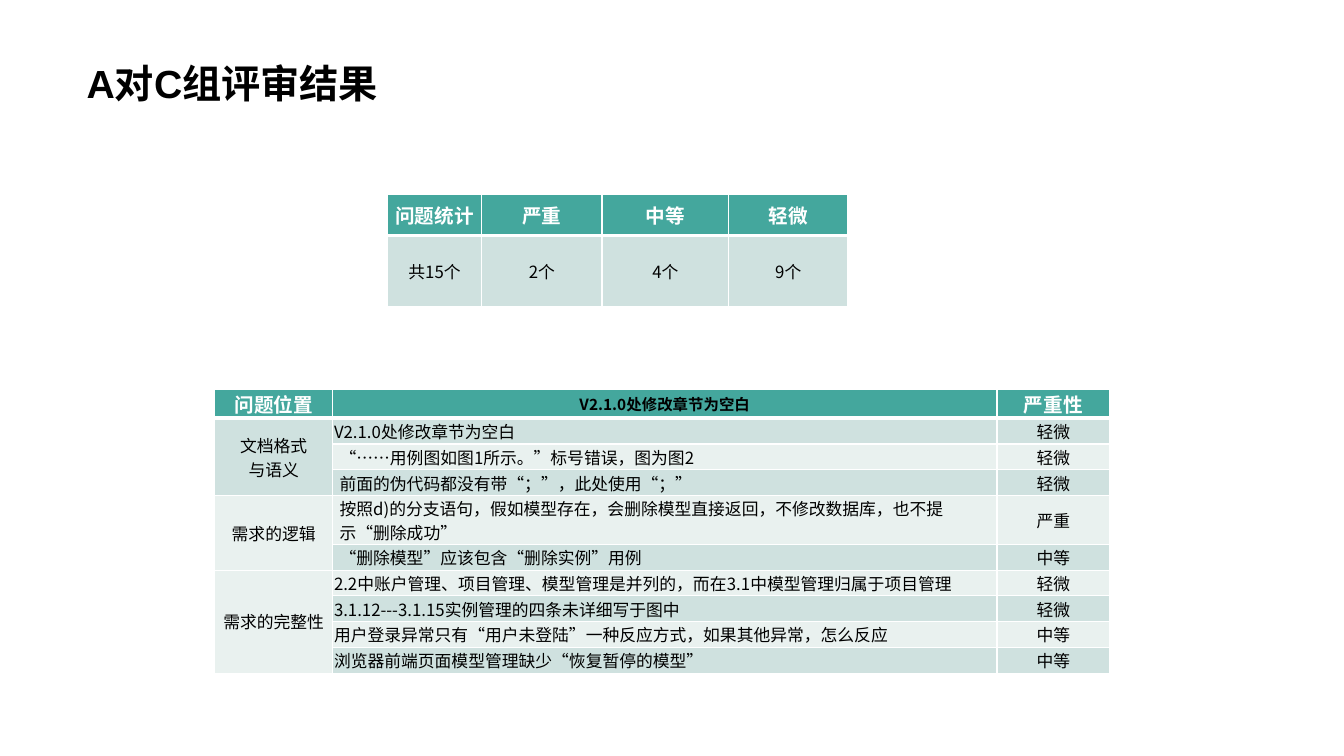
import pptx
import pptx.dml.color
import pptx.enum.lang
import pptx.enum.text
import pptx.oxml.ns
import pptx.util
from lxml import etree

Pt = pptx.util.Pt
ALIGN = pptx.enum.text.PP_ALIGN
ANCHOR = pptx.enum.text.MSO_ANCHOR
CHINESE = pptx.enum.lang.MSO_LANGUAGE_ID.SIMPLIFIED_CHINESE

SEVERITIES = ["严重", "中等", "轻微"]
COUNTS = ["共15个", "2个", "4个", "9个"]
ISSUE_GROUPS = [
    ("文档格式\n与语义", [
        ("V2.1.0处修改章节为空白", 1, "轻微"),
        ("“……用例图如图1所示。”标号错误，图为图2", 5, "轻微"),
        ("前面的伪代码都没有带“；”，此处使用“；”", 5, "轻微"),
    ]),
    ("需求的逻辑", [
        ("按照d)的分支语句，假如模型存在，会删除模型直接返回，不修改数据库，也不提示“删除成功”", 5, "严重"),
        ("“删除模型”应该包含“删除实例”用例", 5, "中等"),
    ]),
    ("需求的完整性", [
        ("2.2中账户管理、项目管理、模型管理是并列的，而在3.1中模型管理归属于项目管理", 1, "轻微"),
        ("3.1.12---3.1.15实例管理的四条未详细写于图中", 1, "轻微"),
        ("用户登录异常只有“用户未登陆”一种反应方式，如果其他异常，怎么反应", 1, "中等"),
        ("浏览器前端页面模型管理缺少“恢复暂停的模型”", 1, "中等"),
    ]),
]


def rgb(value):
    return pptx.dml.color.RGBColor.from_string(value)


def assign(target, values):
    for name, value in values.items():
        setattr(target, name, value)


class ReviewSlide:
    cjk = "Noto Sans CJK SC"
    header_fill = "44A79D"
    band_fills = ["E9F1EF", "CFE1DF"]
    border = "FFFFFF"
    header_text = {"size": Pt(14), "bold": True, "color": "FFFFFF"}
    sample_text = {"size": Pt(11), "bold": True, "color": "000000"}
    body_text = {"size": Pt(12), "bold": False, "color": "000000"}

    def __init__(self, deck):
        self.slide = deck.slides.add_slide(deck.slide_layouts[5])

    def add_text(self, paragraph, text, style, latin=cjk):
        run = paragraph.add_run()
        run.text = text
        style = dict(style)
        run.font.color.rgb = rgb(style.pop("color"))
        assign(run.font, {**style, "name": latin, "language_id": CHINESE})
        east_asian = etree.SubElement(run.font._element, pptx.oxml.ns.qn("a:ea"))
        east_asian.set("typeface", self.cjk)

    def title(self, text, left, top, width, height):
        heading = self.slide.shapes.title
        assign(heading, {"left": Pt(left), "top": Pt(top), "width": Pt(width), "height": Pt(height)})
        frame = heading.text_frame
        assign(frame, {"vertical_anchor": ANCHOR.BOTTOM, "word_wrap": True,
                       "auto_size": pptx.enum.text.MSO_AUTO_SIZE.NONE})
        assign(frame.paragraphs[0], {"alignment": ALIGN.LEFT, "line_spacing": 0.9})
        self.add_text(frame.paragraphs[0], text, {"size": Pt(28), "bold": True, "color": "000000"}, "Arial")

    def table(self, left, top, widths, heights):
        grid = self.slide.shapes.add_table(
            len(heights), len(widths), Pt(left), Pt(top), Pt(sum(widths)), Pt(sum(heights))).table
        grid.horz_banding = False
        for column, width in zip(grid.columns, widths):
            column.width = Pt(width)
        for row, height in zip(grid.rows, heights):
            row.height = Pt(height)
        for index, row in enumerate(grid.rows):
            for cell in row.cells:
                self.dress(cell, index)
        return grid

    def dress(self, cell, row):
        assign(cell, {"vertical_anchor": ANCHOR.MIDDLE, "margin_left": Pt(1), "margin_right": Pt(1),
                      "margin_top": 0, "margin_bottom": 0})
        properties = cell._tc.get_or_add_tcPr()
        for side in "LRTB":
            width = 3 if row == 0 and side == "B" else 1
            line = etree.SubElement(properties, pptx.oxml.ns.qn("a:ln" + side), w=str(Pt(width)))
            fill = etree.SubElement(line, pptx.oxml.ns.qn("a:solidFill"))
            etree.SubElement(fill, pptx.oxml.ns.qn("a:srgbClr"), val=self.border)
        cell.fill.solid()
        cell.fill.fore_color.rgb = rgb(self.band_fills[row % 2] if row else self.header_fill)

    def fill_cell(self, cell, text, style, align=ALIGN.CENTER, inset=1):
        assign(cell, {"margin_left": Pt(inset), "margin_right": Pt(inset)})
        frame = cell.text_frame
        for index, line in enumerate(text.split("\n")):
            paragraph = frame.add_paragraph() if index else frame.paragraphs[0]
            paragraph.alignment = align
            self.add_text(paragraph, line, style)


def main():
    deck = pptx.Presentation()
    assign(deck, {"slide_width": Pt(960), "slide_height": Pt(540)})
    review = ReviewSlide(deck)
    review.title("A对C组评审结果", 54.7, 0, 850.3, 79.9)

    issue_count = sum(len(issues) for _, issues in ISSUE_GROUPS)
    details = review.table(153.4, 277.9, [84.2, 474.5, 80.6], [20.9] + [18.4] * issue_count)
    review.fill_cell(details.cell(0, 0), "问题位置", review.header_text)
    sample = details.cell(0, 1)
    review.fill_cell(sample, "V2.1.0", review.sample_text)
    review.add_text(sample.text_frame.paragraphs[0], "处修改章节为空白", review.sample_text, "Arial")
    review.fill_cell(details.cell(0, 2), "严重性", review.header_text)

    row = 1
    for location, issues in ISSUE_GROUPS:
        details.cell(row, 0).merge(details.cell(row + len(issues) - 1, 0))
        review.fill_cell(details.cell(row, 0), location, review.body_text)
        for problem, inset, severity in issues:
            review.fill_cell(details.cell(row, 1), problem, review.body_text, ALIGN.LEFT, inset)
            review.fill_cell(details.cell(row, 2), severity, review.body_text)
            row += 1

    summary = review.table(276.7, 139, [67.4, 85.9, 90.6, 85], [29.2, 50.8])
    for column, (label, count) in enumerate(zip(["问题统计"] + SEVERITIES, COUNTS)):
        review.fill_cell(summary.cell(0, column), label, review.header_text)
        review.fill_cell(summary.cell(1, column), count, review.body_text)

    deck.save("out.pptx")


if __name__ == "__main__":
    main()
